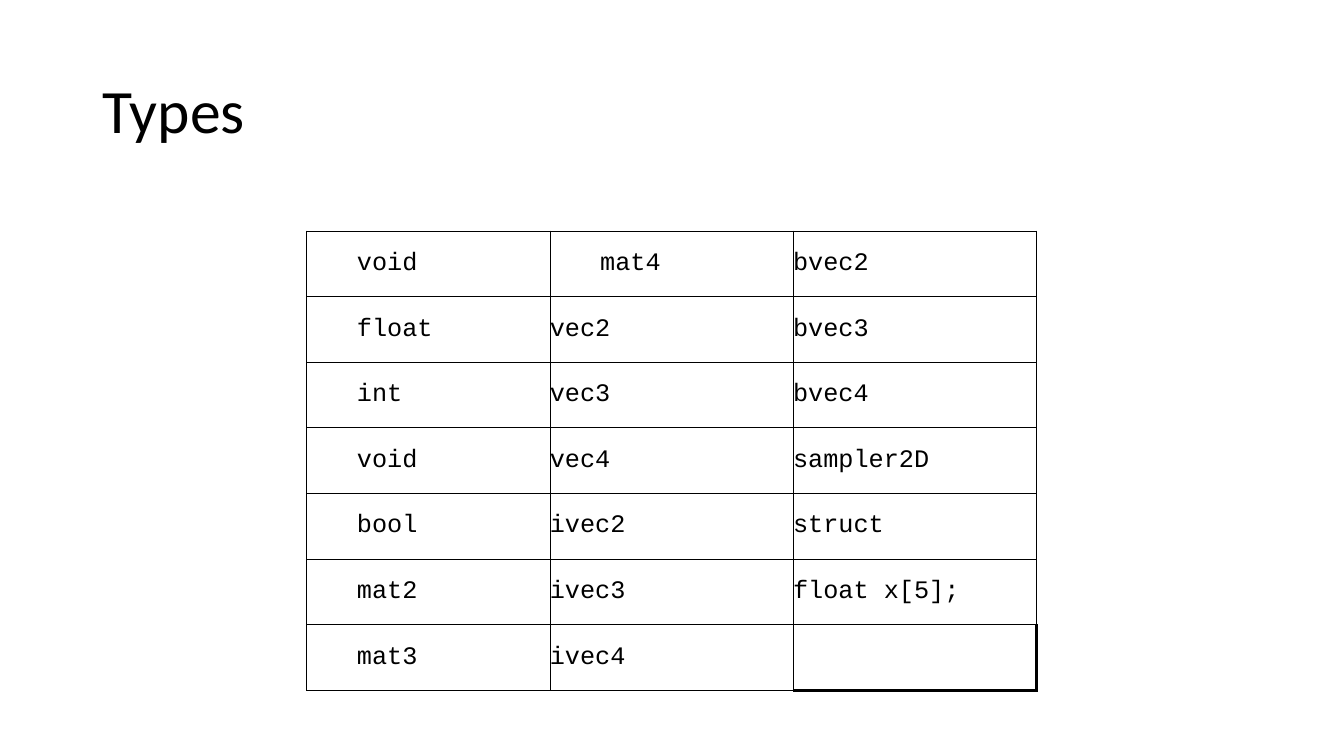
from dataclasses import dataclass

from lxml.etree import SubElement as Sub
from pptx import Presentation
from pptx.dml.color import RGBColor as RGB
from pptx.enum.text import MSO_ANCHOR as Anchor
from pptx.oxml.ns import qn
from pptx.util import Inches, Pt


@dataclass(frozen=True)
class Theme:
    ink: str = "000000"
    paper: str = "FFFFFF"
    head: str = "Calibri"
    code: str = "Courier New"
    big: int = 44
    body: int = 18
    thin: float = 0.5
    thick: float = 2


THEME = Theme()
INDENT = Inches(0.5)
TYPES = [
    ["void", "mat4", "bvec2"],
    ["float", "vec2", "bvec3"],
    ["int", "vec3", "bvec4"],
    ["void", "vec4", "sampler2D"],
    ["bool", "ivec2", "struct"],
    ["mat2", "ivec3", "float x[5];"],
    ["mat3", "ivec4", ""],
]


def write(frame, text, font=THEME.code, size=THEME.body, color=THEME.ink,
          line=None, before=None, indent=0):
    """Put one formatted paragraph in a text frame."""
    para = frame.paragraphs[0]
    para.line_spacing = line
    if before:
        para.space_before = Pt(before)
    if indent:
        para.level = 1
        props = para._p.get_or_add_pPr()
        props.set("marL", str(indent))
        props.set("indent", "0")
    run = para.add_run()
    run.text = text
    run.font.name = font
    run.font.size = Pt(size)
    run.font.color.rgb = RGB.from_string(color)


def border(cell, widths):
    """Draw the left, right, top and bottom edges, widths in points."""
    props = cell._tc.get_or_add_tcPr()
    for side, width in zip("LRTB", widths):
        edge = Sub(props, qn(f"a:ln{side}"), w=str(Pt(width)))
        fill = Sub(edge, qn("a:solidFill"))
        Sub(fill, qn("a:srgbClr"), val=THEME.ink)


def add_title(slide, text):
    box = slide.shapes.add_textbox(Inches(0.92), Inches(0.4),
                                   Inches(11.5), Inches(1.45))
    frame = box.text_frame
    frame.word_wrap = True
    frame.vertical_anchor = Anchor.MIDDLE
    write(frame, text, font=THEME.head, size=THEME.big, line=0.9)


def fill_cell(cell, text, indent):
    thin, thick = THEME.thin, THEME.thick
    border(cell, [thin] * 4 if text else [thin, thick, thin, thick])
    cell.fill.background()
    if not text:
        return
    cell.margin_left = cell.margin_right = 0
    cell.margin_top = cell.margin_bottom = 0
    cell.vertical_anchor = Anchor.MIDDLE
    write(cell.text_frame, text, indent=indent, before=24 if indent else None)


def add_grid(slide, rows):
    shape = slide.shapes.add_table(len(rows), len(rows[0]), Inches(3.04),
                                   Inches(2.29), Inches(7.24), Inches(4.56))
    table = shape.table
    table.first_row = table.horz_banding = False
    for r, row in enumerate(rows):
        for c, text in enumerate(row):
            # Scalar and matrix types are indented
            inset = c == 0 or text.startswith("mat")
            fill_cell(table.cell(r, c), text, INDENT if inset else 0)


def main():
    deck = Presentation()
    deck.slide_width, deck.slide_height = Inches(13.33), Inches(7.5)
    slide = deck.slides.add_slide(deck.slide_layouts[6])

    # Background
    paper = slide.background.fill
    paper.solid()
    paper.fore_color.rgb = RGB.from_string(THEME.paper)

    # Title and table of types
    add_title(slide, "Types")
    add_grid(slide, TYPES)
    deck.save("out.pptx")


if __name__ == "__main__":
    main()
